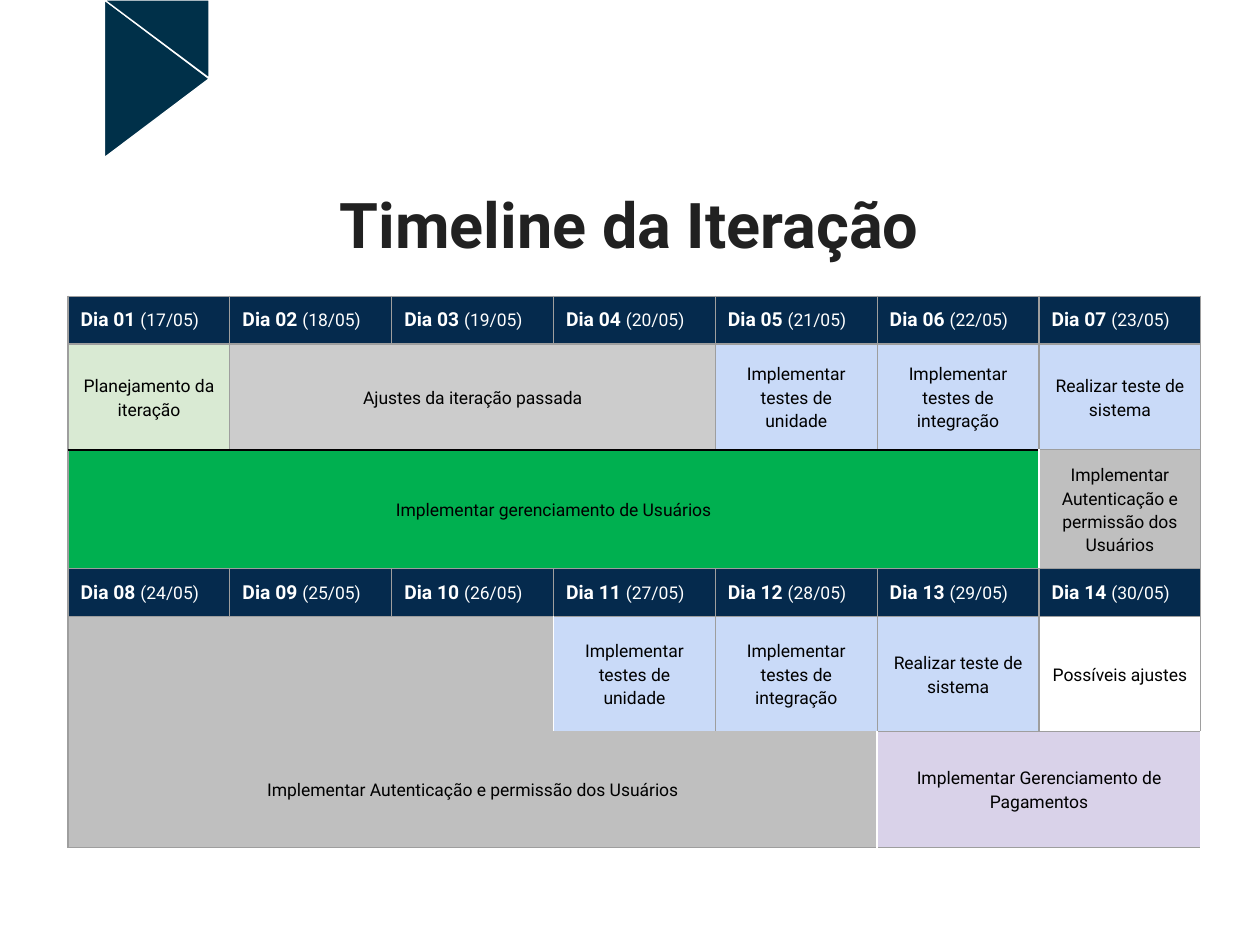
from pptx import Presentation
from pptx import util as u
from pptx.dml.color import RGBColor
from pptx.enum import shapes, text
from pptx.oxml import parse_xml
from pptx.oxml.ns import nsdecls

COLORS = {
    "flag": "003049", "header": "052A4D", "title": "212121",
    "black": "000000", "white": "FFFFFF", "border": "9E9E9E",
    "planning": "D9EAD3", "fixes": "CCCCCC", "testing": "C9DAF8",
    "users": "00B050", "access": "BFBFBF", "payments": "D9D2E9",
}
FONT = "Roboto"
COLUMNS = 7
ROW_HEIGHTS = [0.38, 0.84, 0.87, 0.38, 0.91, 0.92]


def write(para, words, size=10, color="black", bold=False):
    """Add one formatted span to a paragraph."""
    span = para.add_run()
    span.text = words
    span.font.name, span.font.size, span.font.bold = FONT, u.Pt(size), bold
    span.font.color.rgb = RGBColor.from_string(COLORS[color])


def draw_border(cell, edge, color, width):
    """Set one cell edge (L, R, T or B); no color means no line."""
    fill = (f'<a:solidFill><a:srgbClr val="{COLORS[color]}"/></a:solidFill>'
            if color else "<a:noFill/>")
    cell._tc.get_or_add_tcPr().append(parse_xml(
        f'<a:ln{edge} {nsdecls("a")} w="{u.Pt(width)}">{fill}</a:ln{edge}>'))


deck = Presentation()
deck.slide_width, deck.slide_height = u.Inches(10), u.Inches(7.5)
page = deck.slides.add_slide(deck.slide_layouts[5])

# Folded flag at the top: kind, left, top, width, height, rotation
for kind, left, top, width, height, turn in [
    (shapes.MSO_SHAPE.ISOSCELES_TRIANGLE, 0.62, 0.21, 1.25, 0.83, 90),
    (shapes.MSO_SHAPE.RIGHT_TRIANGLE, 0.83, 0, 0.83, 0.62, 180),
]:
    flag = page.shapes.add_shape(kind, *map(u.Inches, (left, top, width, height)))
    flag.rotation = turn
    flag.shadow.inherit = False
    flag.fill.solid()
    flag.fill.fore_color.rgb = RGBColor.from_string(COLORS["flag"])
    flag.line.color.rgb = RGBColor.from_string(COLORS["white"])
    flag.line.width = u.Pt(0.75)

# Title
title = page.shapes.title
title.left, title.top = u.Inches(0.83), u.Inches(1.28)
title.width, title.height = u.Inches(8.33), u.Inches(0.84)
title.text_frame.vertical_anchor = text.MSO_ANCHOR.BOTTOM
title.text_frame.auto_size = text.MSO_AUTO_SIZE.NONE
para = title.text_frame.paragraphs[0]
para.alignment = text.PP_ALIGN.CENTER
write(para, "Timeline da Iteração", size=36, color="title", bold=True)

# Timeline: each row lists (words, fill, columns spanned)
tests = [("Implementar testes de unidade", "testing", 1),
         ("Implementar testes de integração", "testing", 1),
         ("Realizar teste de sistema", "testing", 1)]
access = "Implementar Autenticação e permissão dos Usuários"
week_1 = [(f"Dia {day:02}", "header", 1) for day in range(1, 8)]
week_2 = [(f"Dia {day:02}", "header", 1) for day in range(8, 15)]
dates = {f"Dia {day:02}": f"({day + 16}/05)" for day in range(1, 15)}
timeline = [
    week_1,
    [("Planejamento da iteração", "planning", 1),
     ("Ajustes da iteração passada", "fixes", 3), *tests],
    [("Implementar gerenciamento de Usuários", "users", 6), (access, "access", 1)],
    week_2,
    [("", "access", 3), *tests, ("Possíveis ajustes", "white", 1)],
    [(access, "access", 5), ("Implementar Gerenciamento de Pagamentos", "payments", 2)],
]

frame = page.shapes.add_table(len(timeline), COLUMNS, u.Inches(0.54), u.Inches(2.35),
                              u.Inches(8.99), u.Inches(sum(ROW_HEIGHTS)))
table = frame.table
table.first_row = table.horz_banding = False
for row, height in zip(table.rows, ROW_HEIGHTS):
    row.height = u.Inches(height)

for row, entries in enumerate(timeline):
    first = 0
    for words, fill, width in entries:
        last = first + width - 1
        if width > 1:
            table.cell(row, first).merge(table.cell(row, last))

        # Fill and borders, over every column of the span
        for column in range(first, last + 1):
            cell = table.cell(row, column)
            edges = {edge: ("border", 0.75) for edge in "LRTB"}
            if column > first:
                edges.pop("L")
            if column < last:
                edges.pop("R")
            # Black rule above the user management task
            if column < 6 and row in (1, 2):
                edges["B" if row == 1 else "T"] = ("black", 1)
            # The access task runs on without a line between its two rows
            if column < 5 and row in (4, 5):
                edges["B" if row == 4 else "T"] = (None, 0.75)
            for edge, (color, weight) in edges.items():
                draw_border(cell, edge, color, weight)
            cell.fill.solid()
            cell.fill.fore_color.rgb = RGBColor.from_string(COLORS[fill])

        # Words
        cell = table.cell(row, first)
        cell.margin_left = cell.margin_right = u.Inches(0.1)
        cell.margin_top = cell.margin_bottom = u.Inches(0.1)
        para = cell.text_frame.paragraphs[0]
        if fill == "header":
            write(para, words + " ", size=11, color="white", bold=True)
            write(para, dates[words], color="white")
        elif words:
            cell.vertical_anchor = text.MSO_ANCHOR.MIDDLE
            para.alignment = text.PP_ALIGN.CENTER
            para.line_spacing = 1.15
            write(para, words)
        first = last + 1

deck.save("out.pptx")
